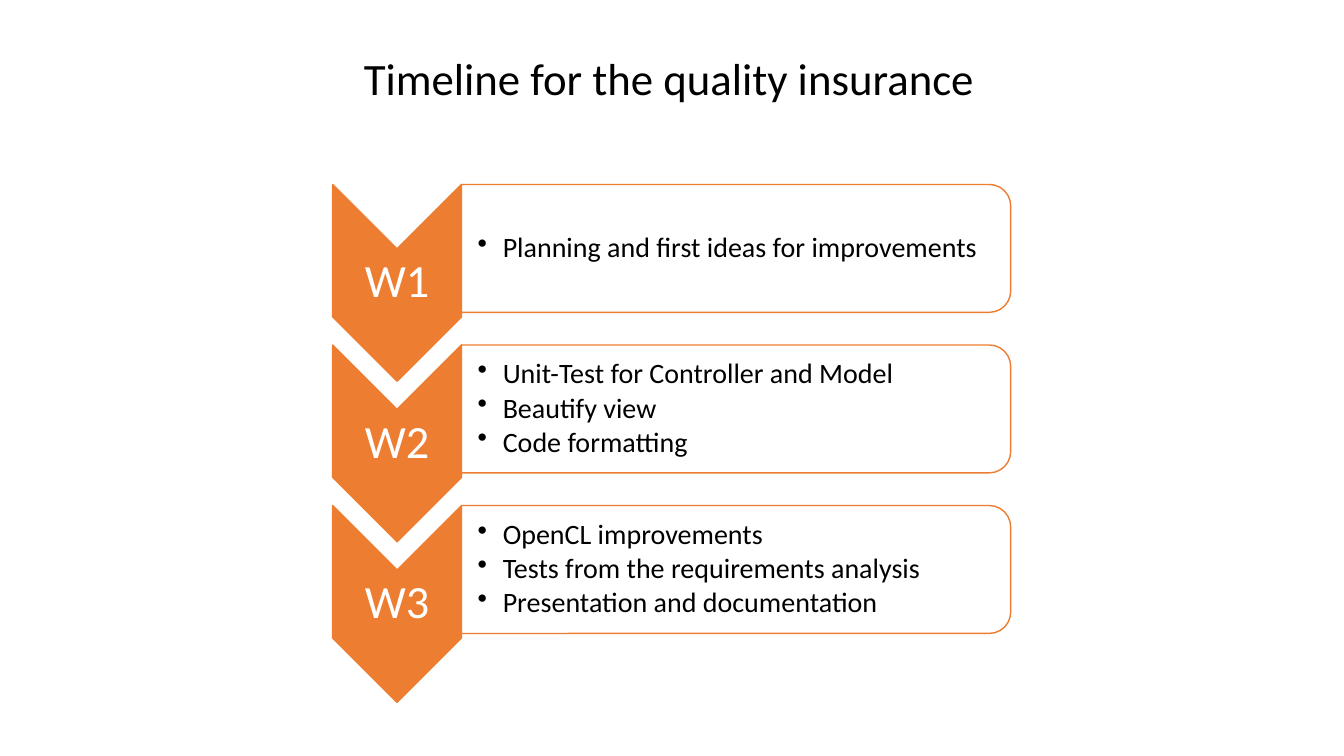
from dataclasses import dataclass

from lxml import etree
from pptx import Presentation
from pptx.dml.color import RGBColor
from pptx.enum.shapes import MSO_SHAPE
from pptx.enum.text import MSO_ANCHOR, PP_ALIGN
from pptx.oxml.ns import qn
from pptx.util import Inches, Pt

CHEVRON = MSO_SHAPE.CHEVRON
PANEL = MSO_SHAPE.ROUND_2_SAME_RECTANGLE
MIDDLE, TOP = MSO_ANCHOR.MIDDLE, MSO_ANCHOR.TOP
LEFT, CENTER = PP_ALIGN.LEFT, PP_ALIGN.CENTER


@dataclass(frozen=True)
class Theme:
    font: str = "Calibri"
    accent: str = "ED7D31"
    paper: str = "FFFFFF"
    ink: str = "000000"
    title: int = 32
    week: int = 33
    item: int = 20
    line: int = 1


THEME = Theme()
WIDE, HIGH = Inches(13.333), Inches(7.5)
COL, ROW = WIDE / 100, HIGH / 100

WEEKS = {
    "W1": ["Planning and first ideas for improvements"],
    "W2": ["Unit-Test for Controller and Model", "Beautify view", "Code formatting"],
    "W3": ["OpenCL improvements", "Tests from the requirements analysis",
           "Presentation and documentation"],
}


def apply(target, values):
    for name, value in values.items():
        setattr(target, name, value)


def scale(box):
    x, y, w, h = box
    return [round(v) for v in (x * COL, y * ROW, w * COL, h * ROW)]


def add_turned(slide, kind, box, fill, alpha=100):
    x, y, w, h = scale(box)
    shift = (w - h) // 2
    shape = slide.shapes.add_shape(kind, x + shift, y - shift, h, w)
    shape.rotation = 90
    shape.shadow.inherit = False
    shape.fill.solid()
    shape.fill.fore_color.rgb = RGBColor.from_string(fill)
    shape.line.color.rgb = RGBColor.from_string(THEME.accent)
    shape.line.width = Pt(THEME.line)
    if alpha < 100:
        tint = shape.fill._xPr.find(qn("a:solidFill"))[0]
        etree.SubElement(tint, qn("a:alpha"), val=str(alpha * 1000))


def add_bullet(para):
    props = para._p.get_or_add_pPr()
    props.set("marL", str(Inches(0.25)))
    props.set("indent", str(-Inches(0.25)))
    etree.SubElement(props, qn("a:buChar"), char="•")


def add_text(slide, box, lines, size, color, frame, para, bullet=False):
    text = slide.shapes.add_textbox(*scale(box)).text_frame
    apply(text, frame)
    for i, line in enumerate(lines):
        item = text.add_paragraph() if i else text.paragraphs[0]
        apply(item, para)
        if bullet:
            add_bullet(item)
        run = item.add_run()
        run.text = line
        apply(run.font, {"name": THEME.font, "size": Pt(size)})
        run.font.color.rgb = RGBColor.from_string(color)


def insets(left, rest):
    frame = {f"margin_{side}": Inches(rest) for side in ("top", "right", "bottom")}
    return frame | {"margin_left": Inches(left), "word_wrap": True,
                    "vertical_anchor": MIDDLE}


def add_title(slide, box, text):
    add_text(slide, box, [text], THEME.title, THEME.ink,
             {"word_wrap": False, "vertical_anchor": TOP}, {"alignment": LEFT})


def add_week(slide, box, name, items):
    x, y, w, h = box
    tab = w * 0.19
    body = x + tab, y, w - tab, h * 0.65
    add_turned(slide, CHEVRON, (x, y, tab, h), THEME.accent)
    add_text(slide, (x, y + h * 0.35, tab, h * 0.3), [name], THEME.week, THEME.paper,
             insets(0.02, 0.02), {"alignment": CENTER, "line_spacing": 0.9})
    add_turned(slide, PANEL, body, THEME.paper, 90)
    add_text(slide, (body[0], y + h * 0.03, body[2] * 0.99, h * 0.59), items,
             THEME.item, THEME.ink, insets(0.16, 0.01),
             {"alignment": LEFT, "line_spacing": 0.9, "space_after": Pt(2.7),
              "level": 1}, True)


def add_weeks(slide, box, weeks):
    x, y, w, h = box
    step = h * 0.31
    for i, (name, items) in enumerate(weeks.items()):
        add_week(slide, (x, y + i * step, w, h - step * (len(weeks) - 1)), name, items)


def build():
    deck = Presentation()
    apply(deck, {"slide_width": WIDE, "slide_height": HIGH})
    slide = deck.slides.add_slide(deck.slide_layouts[6])
    add_title(slide, (26.33, 6, 47.4, 8.53), "Timeline for the quality insurance")
    add_weeks(slide, (24.75, 24.4, 50.45, 68.5), WEEKS)
    deck.save("out.pptx")


build()
